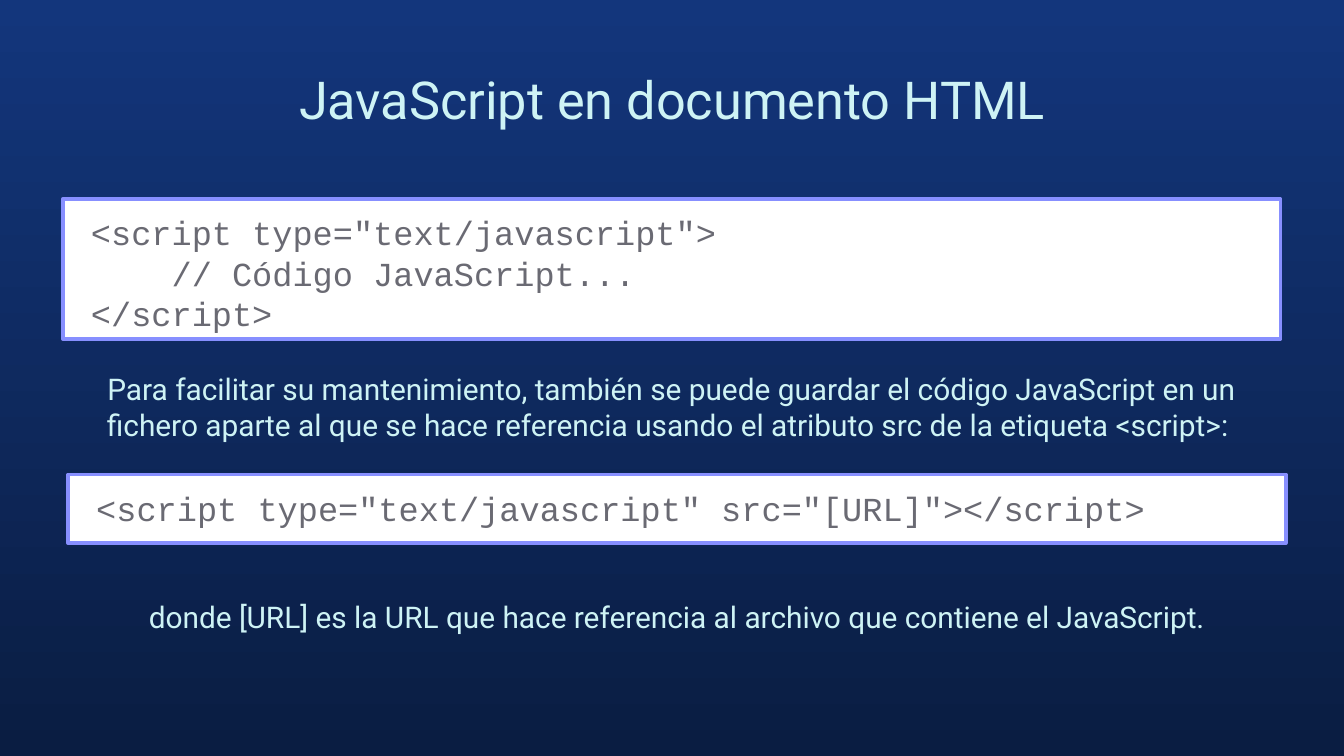
import dataclasses

import pptx
import pptx.dml.color
import pptx.enum.shapes
import pptx.enum.text
import pptx.util

Cm = pptx.util.Cm
Pt = pptx.util.Pt
Align = pptx.enum.text.PP_ALIGN
Anchor = pptx.enum.text.MSO_ANCHOR


@dataclasses.dataclass(frozen=True)
class Theme:
    sky: str = "13367C"
    night: str = "0A1D42"
    light: str = "CEF3F5"
    panel: str = "FFFFFF"
    border: str = "878FFF"
    code: str = "6A6A73"
    sans: str = "Roboto"
    mono: str = "Courier New"
    title_size: int = 28
    body_size: int = 16
    code_size: int = 18
    border_width: int = 2


THEME = Theme()


def rgb(value):
    return pptx.dml.color.RGBColor.from_string(value)


def write_text(box, lines, *, font, size, color, align=Align.CENTER,
               anchor=Anchor.TOP, indent=0):
    frame = box.text_frame
    frame.word_wrap = True
    frame.vertical_anchor = anchor
    frame.margin_left = frame.margin_right = Cm(0.25)
    frame.margin_top = frame.margin_bottom = Cm(0.25)
    for index, line in enumerate(lines):
        para = frame.add_paragraph() if index else frame.paragraphs[0]
        para.alignment = align
        para.line_spacing = 1.0
        if indent:
            para._p.get_or_add_pPr().set("marL", str(Cm(indent)))
        span = para.add_run()
        span.text = line
        span.font.name = font
        span.font.size = Pt(size)
        span.font.color.rgb = rgb(color)


def add_background(page):
    fill = page.background.fill
    fill.gradient()
    fill.gradient_angle = 270
    for stop, color in zip(fill.gradient_stops, (THEME.sky, THEME.night)):
        stop.color.rgb = rgb(color)


def add_title(page, area, text):
    box = page.shapes.add_textbox(*map(Cm, area))
    write_text(box, [text], font=THEME.sans, size=THEME.title_size,
               color=THEME.light, anchor=Anchor.MIDDLE)


def add_explanation(page, area, text):
    box = page.shapes.add_textbox(*map(Cm, area))
    write_text(box, [text], font=THEME.sans, size=THEME.body_size,
               color=THEME.light)


def add_code_panel(page, area, lines):
    box = page.shapes.add_shape(
        pptx.enum.shapes.MSO_SHAPE.RECTANGLE, *map(Cm, area))
    box.shadow.inherit = False
    box.fill.solid()
    box.fill.fore_color.rgb = rgb(THEME.panel)
    box.line.color.rgb = rgb(THEME.border)
    box.line.width = Pt(THEME.border_width)
    write_text(box, lines, font=THEME.mono, size=THEME.code_size,
               color=THEME.code, align=Align.JUSTIFY, indent=0.28)


def main():
    deck = pptx.Presentation()
    deck.slide_width = Cm(25.4)
    deck.slide_height = Cm(14.29)
    page = deck.slides.add_slide(deck.slide_layouts[6])
    width = 23.01
    upper_left, lower_left = 1.19, 1.29

    add_background(page)
    add_title(page, (0, 0.97, 25.4, 1.8), "JavaScript en documento HTML")
    add_code_panel(page, (upper_left, 3.76, width, 2.65), [
        '<script type="text/javascript">',
        "    // Código JavaScript...",
        "</script>",
    ])
    add_explanation(
        page, (upper_left, 6.76, width, 1.8),
        "Para facilitar su mantenimiento, también se puede guardar el código "
        "JavaScript en un fichero aparte al que se hace referencia usando el "
        "atributo src de la etiqueta <script>: ")
    add_code_panel(page, (lower_left, 8.97, width, 1.3), [
        '<script type="text/javascript" src="[URL]"></script>',
    ])
    add_explanation(
        page, (lower_left, 11.06, width, 0.94),
        "donde [URL] es la URL que hace referencia al archivo que contiene "
        "el JavaScript.")
    deck.save("out.pptx")


if __name__ == "__main__":
    main()
